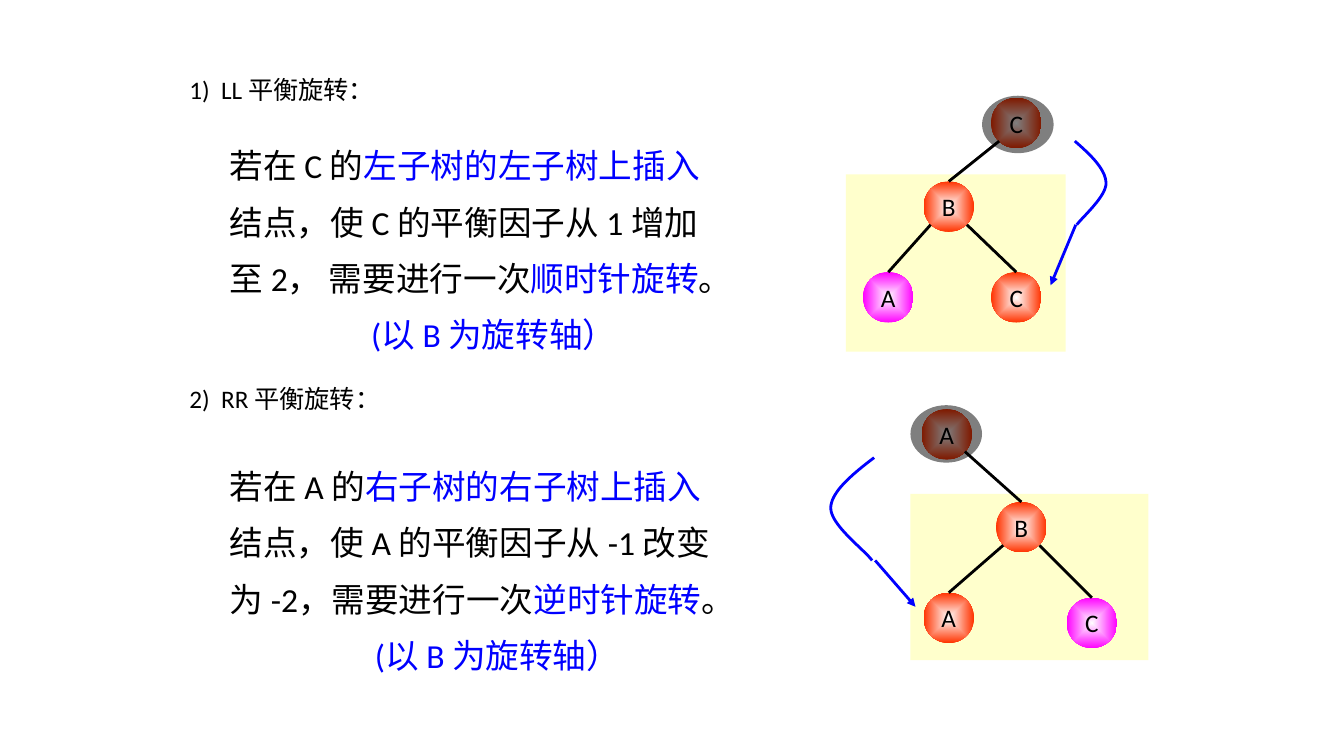
from lxml.etree import SubElement
from pptx import Presentation
from pptx.dml.color import RGBColor
from pptx.enum.shapes import MSO_CONNECTOR, MSO_SHAPE
from pptx.enum.text import MSO_ANCHOR, MSO_AUTO_SIZE, PP_ALIGN
from pptx.oxml.ns import qn
from pptx.util import Inches, Pt

BLACK, BLUE, CREAM = "000000", "0000FF", "FFFFCC"
RED, PINK, WHITE = "FF3300", "FF00FF", "FFFFFF"
SIZE = 0.5
STEPS = 24

HEADS = [
    ("1)  LL 平衡旋转：", (1.78, 0.63, 3.15, 0.52), True),
    ("2)  RR 平衡旋转：", (1.78, 3.75, 2.17, 0.4), False),
]
NOTES = [
    ((2.18, 1.23, 5.51, 2.34), [
        [("若在 C 的", BLACK), ("左子树的左子树上插入", BLUE)],
        [("结点，使 C 的平衡因子从 1 增加", BLACK)],
        [("至 2， 需要进行一次", BLACK), ("顺时针旋转", BLUE), ("。", BLACK)],
        [("(以 B 为旋转轴） ", BLUE)],
    ]),
    ((2.18, 4.41, 5.51, 2.3), [
        [("若在 A 的", BLACK), ("右子树的右子树上插入", BLUE)],
        [("结点，使 A 的平衡因子从 -1 改变", BLACK)],
        [("为 -2，需要进行一次", BLACK), ("逆时针旋转", BLUE), ("。", BLACK)],
        [("(以 B 为旋转轴）", BLUE)],
    ]),
]
TREES = [
    {
        "panel": (8.39, 1.73, 2.18, 1.76),
        "nodes": [("C", 9.83, 0.97, RED), ("B", 9.16, 1.8, RED),
                  ("A", 8.56, 2.7, PINK), ("C", 9.83, 2.7, RED)],
        "edges": [(9.91, 1.4, 9.41, 1.8), (9.59, 2.23, 10.08, 2.7),
                  (9.23, 2.23, 8.81, 2.7)],
        "shade": (9.74, 0.95, 0.71, 0.57),
        "curve": [[(10.66, 1.4), (10.81, 1.53), (10.97, 1.68), (10.97, 1.82)],
                  [(10.97, 1.82), (10.97, 1.95), (10.74, 2.15), (10.68, 2.23)]],
        "arrow": (10.67, 2.23, 10.42, 2.83),
    },
    {
        "panel": (9.03, 4.9, 2.36, 1.65),
        "nodes": [("A", 9.14, 4.06, RED), ("B", 9.88, 4.98, RED),
                  ("A", 9.16, 5.88, RED), ("C", 10.58, 5.93, PINK)],
        "edges": [(9.57, 4.48, 10.13, 4.98), (10.31, 5.41, 10.83, 5.93),
                  (9.95, 5.41, 9.41, 5.88)],
        "shade": (9.03, 4.02, 0.71, 0.57),
        "curve": [[(8.67, 4.54), (8.46, 4.7), (8.24, 4.88), (8.24, 5.04)],
                  [(8.24, 5.04), (8.24, 5.21), (8.57, 5.45), (8.65, 5.56)]],
        "arrow": (8.68, 5.56, 9.08, 6.02),
    },
]

deck = Presentation()
deck.slide_width, deck.slide_height = Inches(13.33), Inches(7.5)
slide = deck.slides.add_slide(deck.slide_layouts[6])
shapes = slide.shapes


def paint(part, color):
    part.solid()
    part.fore_color.rgb = RGBColor.from_string(color)


def write(frame, lines, size=18, wrap=True, space=None, last=None,
          align=PP_ALIGN.LEFT, anchor=MSO_ANCHOR.TOP, grow=False):
    frame.word_wrap = wrap
    frame.vertical_anchor = anchor
    if grow:
        frame.auto_size = MSO_AUTO_SIZE.SHAPE_TO_FIT_TEXT
    for row, runs in enumerate(lines):
        para = frame.paragraphs[0] if row == 0 else frame.add_paragraph()
        para.alignment = last if last and row == len(lines) - 1 else align
        if space:
            para.line_spacing = space
        for text, color in runs:
            run = para.add_run()
            run.text = text
            run.font.name, run.font.size = "Calibri", Pt(size)
            paint(run.font.fill, color)


def block(kind, spot, color):
    item = shapes.add_shape(kind, *map(Inches, spot))
    item.shadow.inherit = False
    item.line.fill.background()
    paint(item.fill, color)
    return item


def node(name, left, top, color):
    ball = block(MSO_SHAPE.OVAL, (left, top, SIZE, SIZE), color)
    ball.fill.gradient()
    for stop, tone in zip(ball.fill.gradient_stops, (WHITE, color)):
        stop.color.rgb = RGBColor.from_string(tone)
    grad = ball._element.spPr.find(qn("a:gradFill"))
    grad.remove(grad.find(qn("a:lin")))
    glow = SubElement(grad, qn("a:path"), {"path": "shape"})
    SubElement(glow, qn("a:fillToRect"), dict.fromkeys("ltrb", "50000"))
    write(ball.text_frame, [[(name, BLACK)]], wrap=False,
          align=PP_ALIGN.CENTER, anchor=MSO_ANCHOR.MIDDLE)


def link(ends, color, tip=False):
    line = shapes.add_connector(MSO_CONNECTOR.STRAIGHT, *map(Inches, ends))
    paint(line.line.fill, color)
    line.line.width = Pt(2)
    if tip:
        SubElement(line.line._get_or_add_ln(), qn("a:tailEnd"), {"type": "triangle"})
    SubElement(line._element.spPr, qn("a:effectLst"))


def bend(curve, t):
    mix = ((1 - t) ** 3, 3 * t * (1 - t) ** 2, 3 * t * t * (1 - t), t ** 3)
    return tuple(Inches(sum(m * p[axis] for m, p in zip(mix, curve)))
                 for axis in (0, 1))


def sweep(curves):
    dots = [bend(curve, step / STEPS)
            for curve in curves for step in range(STEPS + 1)]
    form = shapes.build_freeform(*dots[0])
    form.add_line_segments(dots[1:], close=False)
    item = form.convert_to_shape()
    item.shadow.inherit = False
    item.fill.background()
    paint(item.line.fill, BLUE)
    item.line.width = Pt(2)


for tree in TREES:
    block(MSO_SHAPE.RECTANGLE, tree["panel"], CREAM)

for text, spot, wide in HEADS:
    box = shapes.add_textbox(*map(Inches, spot))
    write(box.text_frame, [[(text, BLACK)]], wrap=wide, grow=not wide,
          anchor=MSO_ANCHOR.MIDDLE if wide else MSO_ANCHOR.TOP)

for spot, lines in NOTES:
    box = shapes.add_textbox(*map(Inches, spot))
    write(box.text_frame, lines, size=24, space=1.4,
          last=PP_ALIGN.CENTER, grow=True)

for tree in TREES:
    for item in tree["nodes"]:
        node(*item)
    for ends in tree["edges"]:
        link(ends, BLACK)
    shade = block(MSO_SHAPE.OVAL, tree["shade"], BLACK)
    tone = shade._element.spPr.find(qn("a:solidFill"))[0]
    SubElement(tone, qn("a:alpha"), {"val": "50000"})
    sweep(tree["curve"])
    link(tree["arrow"], BLUE, tip=True)

deck.save("out.pptx")
